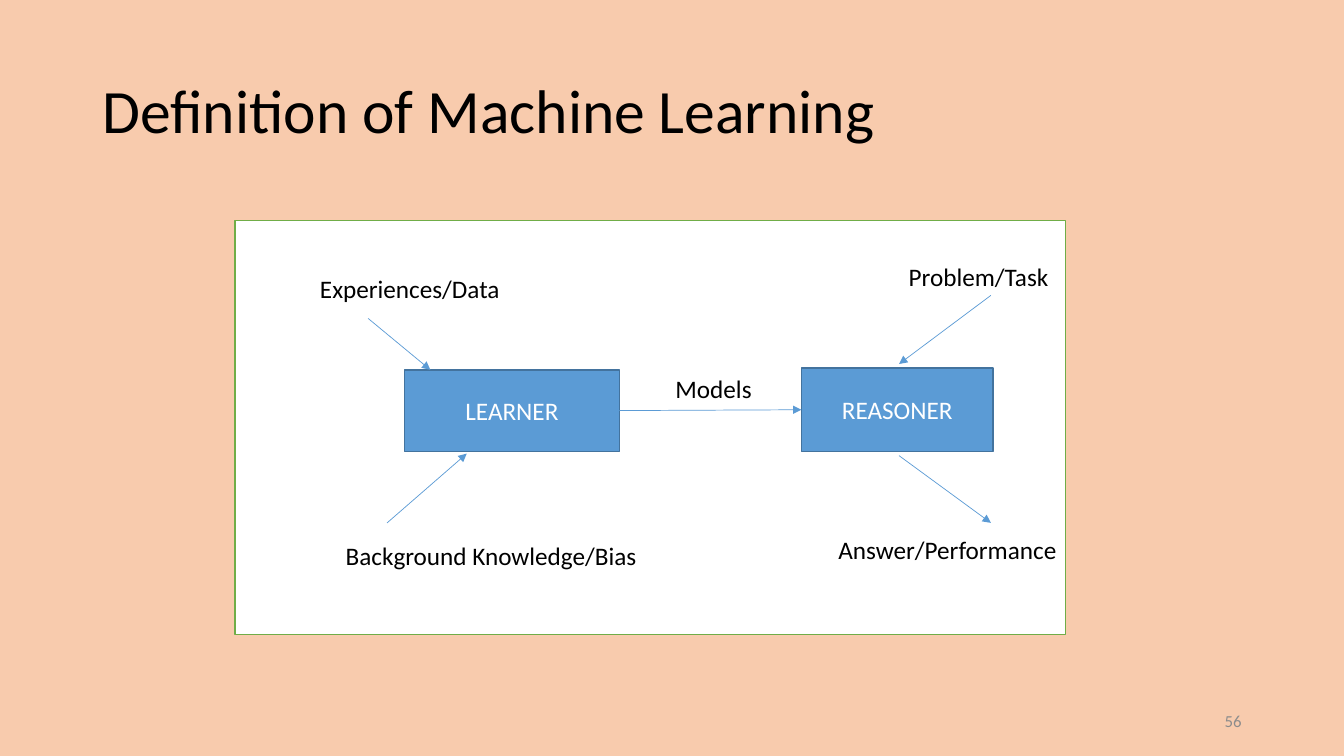
"""Build the slide that defines machine learning as a learner and a reasoner."""
from lxml import etree
from pptx import Presentation
from pptx import util as u
from pptx.dml.color import RGBColor
from pptx.enum import shapes, text
from pptx.oxml import ns

PEACH = RGBColor(0xF8, 0xCB, 0xAD)
BLACK = RGBColor(0x00, 0x00, 0x00)
WHITE = RGBColor(0xFF, 0xFF, 0xFF)
GRAY = RGBColor(0x8C, 0x8C, 0x8C)
GREEN = RGBColor(0x70, 0xAD, 0x47)
BLUE = RGBColor(0x5B, 0x9B, 0xD5)
DARK_BLUE = RGBColor(0x43, 0x73, 0x9E)
LEFT, CENTER, RIGHT = text.PP_ALIGN.LEFT, text.PP_ALIGN.CENTER, text.PP_ALIGN.RIGHT
TOP, MIDDLE = text.MSO_ANCHOR.TOP, text.MSO_ANCHOR.MIDDLE


def write(frame, words, size=18, color=BLACK, align=LEFT, anchor=TOP, wrap=True, spacing=1.0):
    frame.word_wrap = wrap
    frame.vertical_anchor = anchor
    paragraph = frame.paragraphs[0]
    paragraph.alignment = align
    paragraph.line_spacing = spacing
    run = paragraph.add_run()
    run.text = words
    run.font.name = "Calibri"
    run.font.size = u.Pt(size)
    run.font.color.rgb = color


class Diagram:
    def __init__(self, slide, background):
        self.shapes = slide.shapes
        slide.background.fill.solid()
        slide.background.fill.fore_color.rgb = background

    def label(self, words, left, top, width, height=29, **style):
        box = self.shapes.add_textbox(*map(u.Pt, (left, top, width, height)))
        write(box.text_frame, words, **style)

    def box(self, left, top, width, height, fill, line, words=None):
        rect = self.shapes.add_shape(
            shapes.MSO_SHAPE.RECTANGLE, *map(u.Pt, (left, top, width, height)))
        rect.shadow.inherit = False
        rect.fill.solid()
        rect.fill.fore_color.rgb = fill
        rect.line.color.rgb = line
        rect.line.width = u.Pt(1)
        if words:
            write(rect.text_frame, words, color=WHITE, align=CENTER, anchor=MIDDLE)
        return rect

    def arrow(self, start=(0, 0), end=(0, 0)):
        link = self.shapes.add_connector(
            shapes.MSO_CONNECTOR.STRAIGHT, *map(u.Pt, (*start, *end)))
        link.line.color.rgb = BLUE
        link.line.width = u.Pt(0.5)
        etree.SubElement(link.line._get_or_add_ln(), ns.qn("a:tailEnd"), type="triangle")
        etree.SubElement(link._element.spPr, ns.qn("a:effectLst"))
        return link


def main():
    deck = Presentation()
    deck.slide_width, deck.slide_height = u.Pt(960), u.Pt(540)
    diagram = Diagram(deck.slides.add_slide(deck.slide_layouts[6]), PEACH)

    diagram.label("Definition of Machine Learning", 66, 28.8, 828, 104.4,
                  size=44, anchor=MIDDLE, spacing=0.9)
    diagram.label("56", 678, 500.5, 216, size=12, color=GRAY, align=RIGHT, anchor=MIDDLE)

    diagram.box(167.8, 157.5, 593.3, 296, WHITE, GREEN)
    learner = diagram.box(289, 264.2, 153.4, 58.2, BLUE, DARK_BLUE, "LEARNER")
    reasoner = diagram.box(572.4, 263, 137, 59.4, BLUE, DARK_BLUE, "REASONER")

    models = diagram.arrow()
    models.begin_connect(learner, 3)
    models.end_connect(reasoner, 1)
    for start, end in (
        ((263, 227.5), (307.4, 264.2)),
        ((276.5, 373.5), (333.4, 324)),
        ((707.8, 211), (642.2, 260)),
        ((642.2, 325.5), (707.8, 373.5)),
    ):
        diagram.arrow(start, end)

    for words, left, top, width in (
        ("Experiences/Data", 221.5, 191.5, 144),
        ("Background Knowledge/Bias", 239.8, 382.5, 224.6),
        ("Models", 475.4, 263, 69.8),
        ("Problem/Task", 642, 183.3, 115.2),
        ("Answer/Performance", 591.8, 378.2, 172),
    ):
        diagram.label(words, left, top, width, wrap=False)

    deck.save("out.pptx")


if __name__ == "__main__":
    main()
